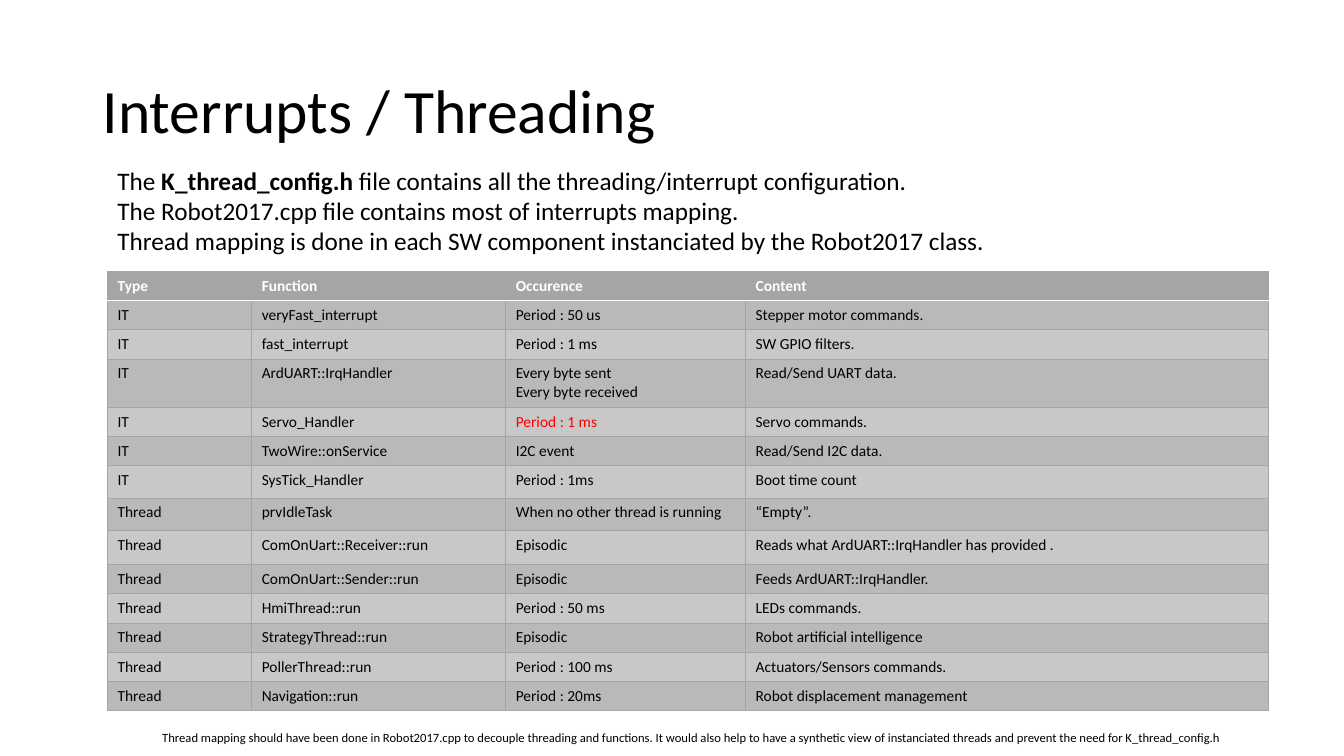
from dataclasses import dataclass

from lxml import etree
from pptx import Presentation, util as u
from pptx.dml.color import RGBColor
from pptx.enum import text
from pptx.oxml import ns


@dataclass
class Theme:
    """Colours, font and type sizes of the slide."""
    font: str = "Calibri"
    ink: str = "000000"
    white: str = "FFFFFF"
    alert: str = "FF0000"
    grey: str = "A5A5A5"
    bands: tuple = ("C8C8C8", "B9B9B9")
    title: int = 44
    body: int = 18
    cell: int = 11
    note: int = 9


theme = Theme()
prs = Presentation()
prs.slide_width, prs.slide_height = u.Inches(13.33), u.Inches(7.5)
W, H = prs.slide_width, prs.slide_height
s = prs.slides.add_slide(prs.slide_layouts[6])

# Shares of the slide's width and height
LEFT, WIDTH = 0.08, 0.865
TABLE_TOP = 0.3587
COLUMNS = (0.1073, 0.189, 0.1785, 0.3893)
ROW = 0.0387
ROW_HEIGHTS = {3: 0.064, 6: 0.0427, 7: 0.0427, 8: 0.0453}


def add_text(box, lines, size, anchor=text.MSO_ANCHOR.TOP):
    """Add a text box at (left, top, width, height) shares; odd parts of a line are bold."""
    left, top, width, height = box
    sp = s.shapes.add_textbox(int(left * W), int(top * H), int(width * W), int(height * H))
    tf = sp.text_frame
    tf.word_wrap = True
    tf.vertical_anchor = anchor
    for i, line in enumerate(lines):
        p = tf.paragraphs[0] if i == 0 else tf.add_paragraph()
        p.font.name, p.font.size = theme.font, u.Pt(size)
        p.font.color.rgb = RGBColor.from_string(theme.ink)
        for j, part in enumerate(line):
            r = p.add_run()
            r.text = part
            if j % 2:
                r.font.bold = True
    return tf


def set_border(cell, side, color, width):
    """Append one cell border; call before filling the cell."""
    ln = etree.SubElement(cell._tc.get_or_add_tcPr(), ns.qn(f"a:ln{side}"), w=str(u.Pt(width)))
    fill = etree.SubElement(ln, ns.qn("a:solidFill"))
    etree.SubElement(fill, ns.qn("a:srgbClr"), val=color)


tf = add_text((0.069, 0.0533, 0.8627, 0.1933), [["Interrupts / Threading"]],
              theme.title, text.MSO_ANCHOR.MIDDLE)
tf.paragraphs[0].line_spacing = 0.9

rows = [
    ("Type", "Function", "Occurence", "Content"),
    ("IT", "veryFast_interrupt", "Period : 50 us", "Stepper motor commands."),
    ("IT", "fast_interrupt", "Period : 1 ms", "SW GPIO filters."),
    ("IT", "ArdUART::IrqHandler", "Every byte sent\nEvery byte received", "Read/Send UART data."),
    ("IT", "Servo_Handler", "Period : 1 ms", "Servo commands."),
    ("IT", "TwoWire::onService", "I2C event", "Read/Send I2C data."),
    ("IT", "SysTick_Handler", "Period : 1ms", "Boot time count"),
    ("Thread", "prvIdleTask", "When no other thread is running", "“Empty”."),
    ("Thread", "ComOnUart::Receiver::run", "Episodic",
     "Reads what ArdUART::IrqHandler has provided ."),
    ("Thread", "ComOnUart::Sender::run", "Episodic", "Feeds ArdUART::IrqHandler."),
    ("Thread", "HmiThread::run", "Period : 50 ms", "LEDs commands."),
    ("Thread", "StrategyThread::run", "Episodic", "Robot artificial intelligence"),
    ("Thread", "PollerThread::run", "Period : 100 ms", "Actuators/Sensors commands."),
    ("Thread", "Navigation::run", "Period : 20ms", "Robot displacement management"),
]
ALERT_CELL = (4, 2)

heights = [ROW_HEIGHTS.get(i, ROW) for i in range(len(rows))]
table = s.shapes.add_table(len(rows), len(COLUMNS), int(LEFT * W), int(TABLE_TOP * H),
                           int(sum(COLUMNS) * W), int(sum(heights) * H)).table
for column, share in zip(table.columns, COLUMNS):
    column.width = int(share * W)
for i, (row, height) in enumerate(zip(rows, heights)):
    table.rows[i].height = int(height * H)
    for j, words in enumerate(row):
        cell = table.cell(i, j)
        cell.text = words
        # The white rule lies between the header and the first body row
        white_side = {0: "B", 1: "T"}.get(i)
        for side in "LRTB":
            is_rule = side == white_side
            set_border(cell, side, theme.white if is_rule else theme.grey, 1 if is_rule else 0.5)
        cell.fill.solid()
        cell.fill.fore_color.rgb = RGBColor.from_string(theme.bands[i % 2] if i else theme.grey)
        color = theme.white if i == 0 else theme.alert if (i, j) == ALERT_CELL else theme.ink
        for p in cell.text_frame.paragraphs:
            p.font.name, p.font.size, p.font.bold = theme.font, u.Pt(theme.cell), i == 0
            p.font.color.rgb = RGBColor.from_string(color)

add_text((LEFT, 0.212, WIDTH, 0.1347), [
    ["The ", "K_thread_config.h ", "file contains all the threading/interrupt configuration."],
    ["The Robot2017.cpp file contains most of interrupts mapping."],
    ["Thread mapping is done in each SW component instanciated by the Robot2017 class."],
], theme.body)

add_text((0.1133, 0.9587, 0.8485, 0.0333), [[
    "Thread mapping should have been done in Robot2017.cpp to decouple threading and functions. "
    "It would also help to have a synthetic view of instanciated threads and prevent the need "
    "for K_thread_config.h"]], theme.note)

prs.save("out.pptx")
